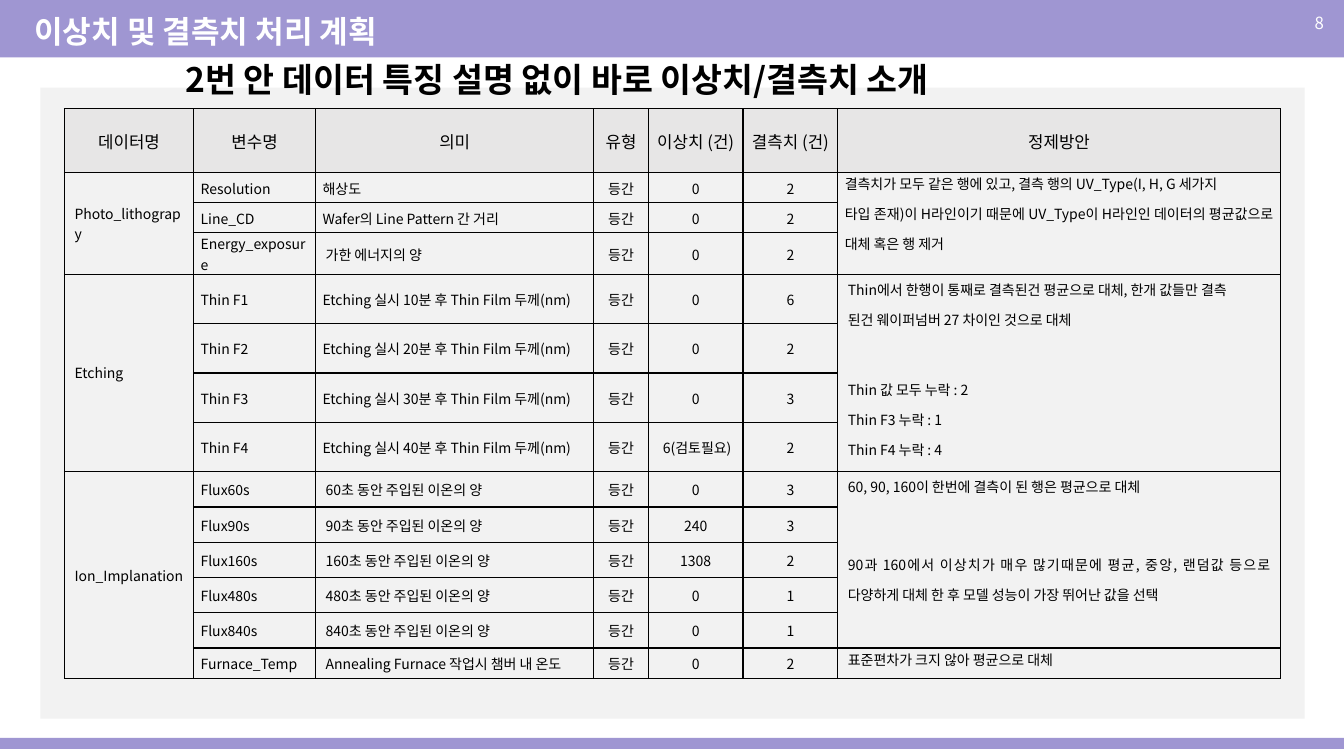
import pptx
import pptx.dml.color
import pptx.enum.shapes
import pptx.enum.text
import pptx.oxml.ns
import pptx.util
from dataclasses import dataclass
from lxml import etree

Inches = pptx.util.Inches
Pt = pptx.util.Pt
RGBColor = pptx.dml.color.RGBColor
Align = pptx.enum.text.PP_ALIGN
Anchor = pptx.enum.text.MSO_ANCHOR
qn = pptx.oxml.ns.qn

FONT = "Noto Sans CJK KR"
BLACK = RGBColor(0, 0, 0)
WHITE = RGBColor(255, 255, 255)
PURPLE = RGBColor(0x9F, 0x96, 0xD2)
PALE = RGBColor(0xF2, 0xF2, 0xF2)
GREY = RGBColor(0xE7, 0xE6, 0xE6)
TIGHT = (0.07, 0.01, 0.07, 0)
WIDE = (0.1, 0.05, 0.1, 0.05)
WIDTHS = (1.28, 1.21, 2.76, 0.54, 0.94, 0.94, 4.39)
HEADS = ("데이터명", "변수명", "의미", "유형", "이상치 (건)", "결측치 (건)", "정제방안")


@dataclass
class Bar:
    left: float
    top: float
    width: float
    height: float
    color: RGBColor


@dataclass
class Item:
    name: str
    sense: str
    odd: str
    lost: str
    high: float


@dataclass
class Line:
    text: str
    space: float = 1.0
    after: float = 0
    before: float = 0


@dataclass
class Block:
    col: int
    first: int
    last: int
    lines: list[Line]
    inset: tuple[float, float, float, float] = WIDE


BARS = [
    Bar(0.4, 0.87, 12.54, 6.26, PALE),
    Bar(0, 0, 13.33, 0.57, PURPLE),
    Bar(0, 7.32, 13.33, 0.11, PURPLE),
]

ITEMS = [
    Item("Resolution", "해상도", "0", "2", 0.3),
    Item("Line_CD", "Wafer의 Line Pattern 간 거리", "0", "2", 0.3),
    Item("Energy_exposure", " 가한 에너지의 양", "0", "2", 0.39),
    *(Item(f"Thin F{n}", f"Etching 실시 {n}0분 후 Thin Film 두께(nm)", odd, lost, 0.49)
      for n, odd, lost in ((1, "0", "6"), (2, "0", "2"), (3, "0", "3"), (4, " 6(검토필요)", "2"))),
    *(Item(f"Flux{sec}s", f" {sec}초 동안 주입된 이온의 양", odd, lost, 0.35)
      for sec, odd, lost in ((60, "0", "3"), (90, "240", "3"), (160, "1308", "2"),
                             (480, "0", "1"), (840, "0", "1"))),
    Item("Furnace_Temp", " Annealing Furnace 작업시 챔버 내 온도", "0", "2", 0.3),
]

BLOCKS = [
    Block(0, 1, 3, [Line("Photo_lithograpy", after=6)]),
    Block(0, 4, 7, [Line("Etching", after=6)]),
    Block(0, 8, 13, [Line("Ion_Implanation", after=6)]),
    Block(6, 1, 3, [
        Line("결측치가 모두 같은 행에 있고, 결측 행의 UV_Type(I, H, G 세가지"),
        Line("타입 존재)이 H라인이기 때문에 UV_Type이 H라인인 데이터의 평균값으로 대체 혹은 행 제거", 1.5),
    ], TIGHT),
    Block(6, 4, 7, [
        Line("Thin에서 한행이 통째로 결측된건 평균으로 대체, 한개 값들만 결측"),
        Line("된건 웨이퍼넘버 27 차이인 것으로 대체", 1.5),
        Line("Thin 값 모두 누락 : 2", 1.5, before=28),
        Line("Thin F3 누락 : 1", 1.5),
        Line("Thin F4 누락 : 4", 1.5),
    ]),
    Block(6, 8, 12, [
        Line("60, 90, 160이 한번에 결측이 된 행은 평균으로 대체", after=6),
        Line("90과 160에서 이상치가 매우 많기때문에 평균, 중앙, 랜덤값 등으로 "
             "다양하게 대체 한 후 모델 성능이 가장 뛰어난 값을 선택", 1.5, 6, 28),
    ]),
    Block(6, 13, 13, [Line(" 표준편차가 크지 않아 평균으로 대체", after=6)], TIGHT),
]


def style(para, size: float, color: RGBColor, align: Align, bold: bool = False) -> None:
    font = para.font
    font.size, font.bold, font.name = Pt(size), bold, FONT
    font.color.rgb = color
    etree.SubElement(font._rPr, qn("a:ea")).set("typeface", FONT)
    para.alignment = align


def draw_bar(slide, bar: Bar):
    rect = slide.shapes.add_shape(
        pptx.enum.shapes.MSO_SHAPE.RECTANGLE,
        Inches(bar.left), Inches(bar.top), Inches(bar.width), Inches(bar.height))
    rect.shadow.inherit = False
    rect.fill.solid()
    rect.fill.fore_color.rgb = bar.color
    rect.line.fill.background()
    return rect


def add_text(slide, text: str, left: float, top: float, width: float, height: float,
             size: float, color: RGBColor, align: Align, bold: bool) -> None:
    box = slide.shapes.add_textbox(Inches(left), Inches(top), Inches(width), Inches(height))
    box.text_frame.word_wrap = True
    box.text_frame.text = text
    style(box.text_frame.paragraphs[0], size, color, align, bold)


def add_edges(cell) -> None:
    props = cell._tc.get_or_add_tcPr()
    for side in ("lnL", "lnR", "lnT", "lnB"):
        edge = etree.SubElement(props, qn(f"a:{side}"), w=str(Pt(1)))
        fill = etree.SubElement(edge, qn("a:solidFill"))
        etree.SubElement(fill, qn("a:srgbClr"), val=str(BLACK))


def fill_cell(cell, lines: list[Line], size: float, align: Align,
              inset: tuple[float, float, float, float] = TIGHT,
              anchor: Anchor = Anchor.MIDDLE) -> None:
    cell.margin_left, cell.margin_top, cell.margin_right, cell.margin_bottom = map(Inches, inset)
    cell.vertical_anchor = anchor
    cell.text = "\n".join(line.text for line in lines)
    for para, line in zip(cell.text_frame.paragraphs, lines):
        para.line_spacing = line.space
        para.space_before, para.space_after = Pt(line.before), Pt(line.after)
        style(para, size, BLACK, align)


def draw_table(slide) -> None:
    highs = [0.63] + [item.high for item in ITEMS]
    table = slide.shapes.add_table(
        len(highs), len(WIDTHS), Inches(0.64), Inches(1.08),
        Inches(sum(WIDTHS)), Inches(sum(highs))).table
    table.first_row = table.horz_banding = False
    for col, width in zip(table.columns, WIDTHS):
        col.width = Inches(width)
    for row, high in zip(table.rows, highs):
        row.height = Inches(high)
    for cell in table.iter_cells():
        add_edges(cell)
        cell.fill.background()
    for col, head in enumerate(HEADS):
        cell = table.cell(0, col)
        fill_cell(cell, [Line(head, after=6)], 12, Align.CENTER)
        cell.fill.solid()
        cell.fill.fore_color.rgb = GREY
    for row, item in enumerate(ITEMS, 1):
        for col, text in enumerate((item.name, item.sense, "등간", item.odd, item.lost), 1):
            align = Align.JUSTIFY if col < 3 else Align.CENTER
            fill_cell(table.cell(row, col), [Line(text, after=6)], 10, align)
    for block in BLOCKS:
        cell = table.cell(block.first, block.col)
        if block.last > block.first:
            cell.merge(table.cell(block.last, block.col))
        anchor = Anchor.TOP if block.col else Anchor.MIDDLE
        fill_cell(cell, block.lines, 10, Align.JUSTIFY, block.inset, anchor)


def set_title(slide, bar) -> None:
    title = slide.shapes.title
    title.left, title.top, title.width, title.height = map(Inches, (0.24, 0.16, 11.93, 0.38))
    frame = title.text_frame
    frame.text = "이상치 및 결측치 처리 계획"
    frame.auto_size = pptx.enum.text.MSO_AUTO_SIZE.NONE
    frame.vertical_anchor = Anchor.MIDDLE
    frame.paragraphs[0].line_spacing = 0.7
    style(frame.paragraphs[0], 22.2, WHITE, Align.LEFT, True)
    bar._element.addnext(title._element)


def main() -> None:
    deck = pptx.Presentation()
    deck.slide_width, deck.slide_height = Inches(13.33), Inches(7.5)
    slide = deck.slides.add_slide(deck.slide_layouts[5])
    panel, header, footer = BARS
    draw_bar(slide, panel)
    draw_table(slide)
    set_title(slide, draw_bar(slide, header))
    draw_bar(slide, footer)
    add_text(slide, "8", 10.23, 0.08, 3, 0.4, 12, WHITE, Align.RIGHT, False)
    add_text(slide, "2번 안 데이터 특징 설명 없이 바로 이상치/결측치 소개",
             1.74, 0.54, 8.84, 0.5, 24, BLACK, Align.LEFT, True)
    deck.save("out.pptx")


if __name__ == "__main__":
    main()
